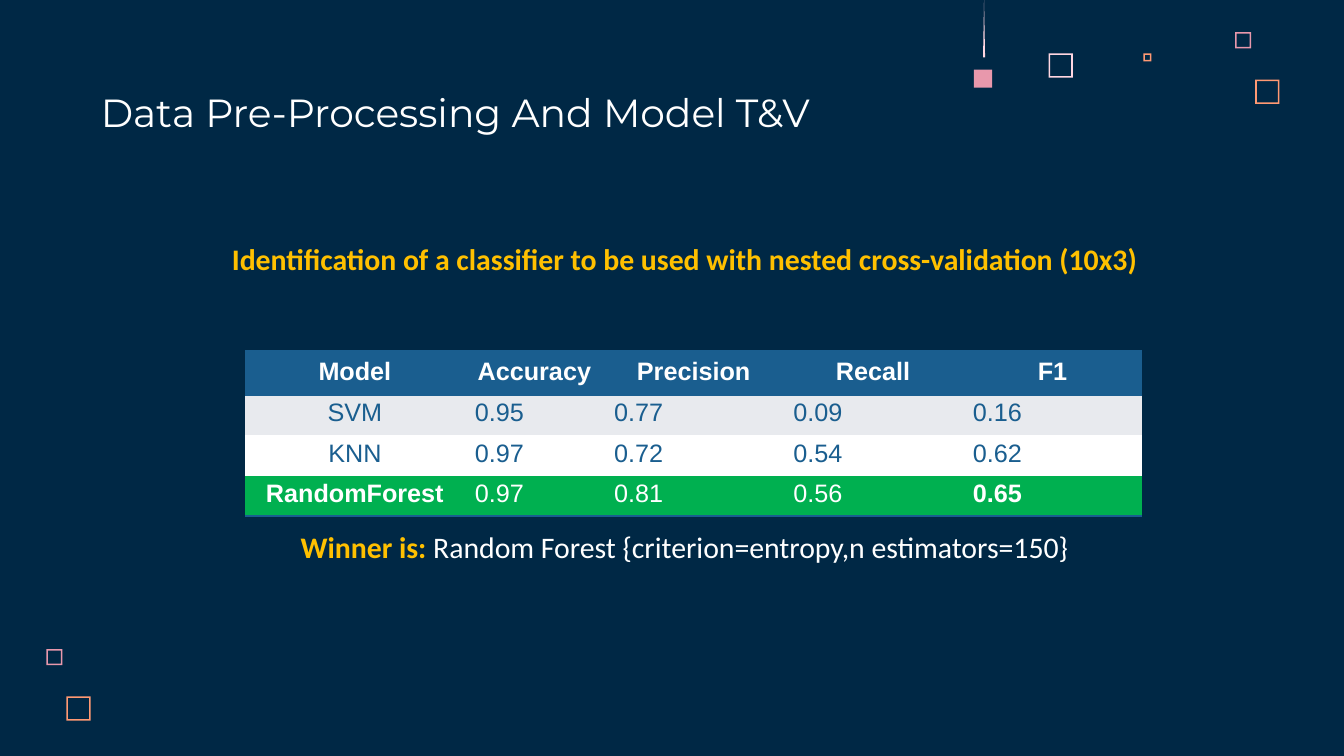
from lxml import etree
from pptx import Presentation
from pptx.dml.color import RGBColor
from pptx.enum.shapes import MSO_SHAPE
from pptx.enum.text import MSO_ANCHOR, MSO_AUTO_SIZE, PP_ALIGN
from pptx.oxml.ns import qn
from pptx.util import Emu, Pt

EMU_PER_PX = 9144  # 100 px to the inch
NAVY = RGBColor(0x00, 0x28, 0x45)
BLUE = RGBColor(0x1A, 0x5E, 0x8F)
GREEN = RGBColor(0x00, 0xB0, 0x50)
GREY = RGBColor(0xE8, 0xEA, 0xEE)
GOLD = RGBColor(0xFF, 0xC0, 0x00)
WHITE = RGBColor(0xFF, 0xFF, 0xFF)
BLUSH = RGBColor(0xFF, 0xD6, 0xE1)
PINK = RGBColor(0xE8, 0x98, 0xAC)
CORAL = RGBColor(0xFF, 0x99, 0x73)

LEFT, CENTER = PP_ALIGN.LEFT, PP_ALIGN.CENTER
TOP, BOTTOM = MSO_ANCHOR.TOP, MSO_ANCHOR.BOTTOM
FRAME, SQUARE = MSO_SHAPE.FRAME, MSO_SHAPE.RECTANGLE
NEEDLE = MSO_SHAPE.ISOSCELES_TRIANGLE
NO_AUTOFIT = MSO_AUTO_SIZE.NONE
PLAIN_TABLE_STYLE = "{2D5ABB26-0587-4C30-8999-92F81FD0307C}"

# left, top, size, colour
SQUARE_FRAMES = [
    (1040, 53, 24, BLUSH),
    (1225, 32, 16, PINK),
    (1134, 53, 8, CORAL),
    (1245, 79, 24, CORAL),
    (46, 644, 16, PINK),
    (66, 691, 24, CORAL),
]
SCORES = [
    ("Model", "Accuracy", "Precision", "Recall", "F1"),
    ("SVM", "0.95", "0.77", "0.09", "0.16"),
    ("KNN", "0.97", "0.72", "0.54", "0.62"),
    ("RandomForest", "0.97", "0.81", "0.56", "0.65"),
]
ROW_STYLES = [(BLUE, WHITE), (GREY, BLUE), (WHITE, BLUE), (GREEN, WHITE)]
COLUMN_WIDTHS = [218, 138, 178, 178, 178]
ROW_HEIGHTS = [44, 40, 40, 40]


def px(length):
    return Emu(round(length * EMU_PER_PX))


class SlidePage:
    title_font, body_font, table_font = "Montserrat", "Calibri", "Arial"
    title_size, body_size, table_size = Pt(28), Pt(21.3), Pt(18)

    def __init__(self, deck):
        self.slide = deck.slides.add_slide(deck.slide_layouts[1])
        background = self.slide.background.fill
        background.solid()
        background.fore_color.rgb = NAVY

    def shape(self, preset, left, top, width, height, color):
        shape = self.slide.shapes.add_shape(
            preset, px(left), px(top), px(width), px(height))
        shape.shadow.inherit = False
        shape.fill.solid()
        shape.fill.fore_color.rgb = color
        shape.line.fill.background()
        return shape

    def square_frame(self, left, top, size, color):
        frame = self.shape(FRAME, left, top, size, size, color)
        frame.adjustments[0] = 1.5 / size

    def run(self, para, text, font, size, color, bold=False):
        span = para.add_run()
        span.text = text
        span.font.name = font
        span.font.size = size
        span.font.bold = bold
        span.font.color.rgb = color

    def place(self, box, left, top, width, height, anchor):
        """Move a placeholder, fix its insets and return its text frame."""
        box.left, box.top = px(left), px(top)
        box.width, box.height = px(width), px(height)
        frame = box.text_frame
        frame.word_wrap = True
        frame.auto_size = NO_AUTOFIT
        frame.vertical_anchor = anchor
        frame.margin_left = frame.margin_right = px(10)
        frame.margin_top = frame.margin_bottom = px(10)
        return frame

    def title(self, text, *bounds):
        frame = self.place(self.slide.shapes.title, *bounds, BOTTOM)
        para = frame.paragraphs[0]
        para.alignment = LEFT
        self.run(para, text, self.title_font, self.title_size, WHITE)

    def body(self, paragraphs, *bounds):
        """Fill the body from (space before, [(text, colour, bold)]) items."""
        frame = self.place(self.slide.placeholders[1], *bounds, TOP)
        for index, (space, spans) in enumerate(paragraphs):
            para = frame.add_paragraph() if index else frame.paragraphs[0]
            para.alignment = CENTER
            para.line_spacing = 1.15
            para.space_before = Pt(space)
            properties = para._p.get_or_add_pPr()
            properties.set("marL", str(px(22)))
            properties.set("indent", "0")
            etree.SubElement(properties, qn("a:buNone"))
            for text, color, bold in spans:
                self.run(para, text, self.body_font, self.body_size, color, bold)

    def cell_borders(self, cell, sides):
        properties = cell._tc.get_or_add_tcPr()
        for side in sides:
            line = etree.SubElement(properties, qn(f"a:ln{side}"), w=str(Pt(2)))
            fill = etree.SubElement(line, qn("a:solidFill"))
            etree.SubElement(fill, qn("a:srgbClr"), val=str(BLUE))

    def score_table(self, left, top):
        frame = self.slide.shapes.add_table(
            len(SCORES), len(COLUMN_WIDTHS), px(left), px(top),
            px(sum(COLUMN_WIDTHS)), px(sum(ROW_HEIGHTS)))
        table = frame.table
        table.first_row = table.horz_banding = False
        table._tbl.tblPr.find(qn("a:tableStyleId")).text = PLAIN_TABLE_STYLE
        for column, width in zip(table.columns, COLUMN_WIDTHS):
            column.width = px(width)
        last = len(SCORES) - 1
        for r, (values, (fill, color)) in enumerate(zip(SCORES, ROW_STYLES)):
            table.rows[r].height = px(ROW_HEIGHTS[r])
            for c, value in enumerate(values):
                cell = table.cell(r, c)
                self.cell_borders(cell, {0: "TB", last: "B"}.get(r, ""))
                cell.fill.solid()
                cell.fill.fore_color.rgb = fill
                cell.margin_top = px(4 if r else 7)
                cell.margin_bottom = px(4)
                para = cell.text_frame.paragraphs[0]
                para.alignment = CENTER if r == 0 or c == 0 else LEFT
                bold = r == 0 or (r == last and value in (values[0], values[-1]))
                self.run(para, value, self.table_font, self.table_size, color, bold)


def main():
    deck = Presentation()
    deck.slide_width, deck.slide_height = px(1333), px(750)
    page = SlidePage(deck)
    for square in SQUARE_FRAMES:
        page.square_frame(*square)
    page.shape(SQUARE, 966, 69, 18, 18, PINK)
    page.shape(NEEDLE, 975, 0, 2, 57, BLUSH)
    page.title("Data Pre-Processing And Model T&V", 90, 60, 1027, 84)
    page.body([
        (0, [("Identification of a classifier to be used with nested "
              "cross-validation (10x3)", GOLD, True)]),
        (177, [("Winner is: ", GOLD, True),
               ("Random Forest {criterion=entropy,n estimators=150}",
                WHITE, False)]),
    ], 164, 223, 1008, 391)
    page.score_table(243, 348)
    deck.save("out.pptx")


if __name__ == "__main__":
    main()
